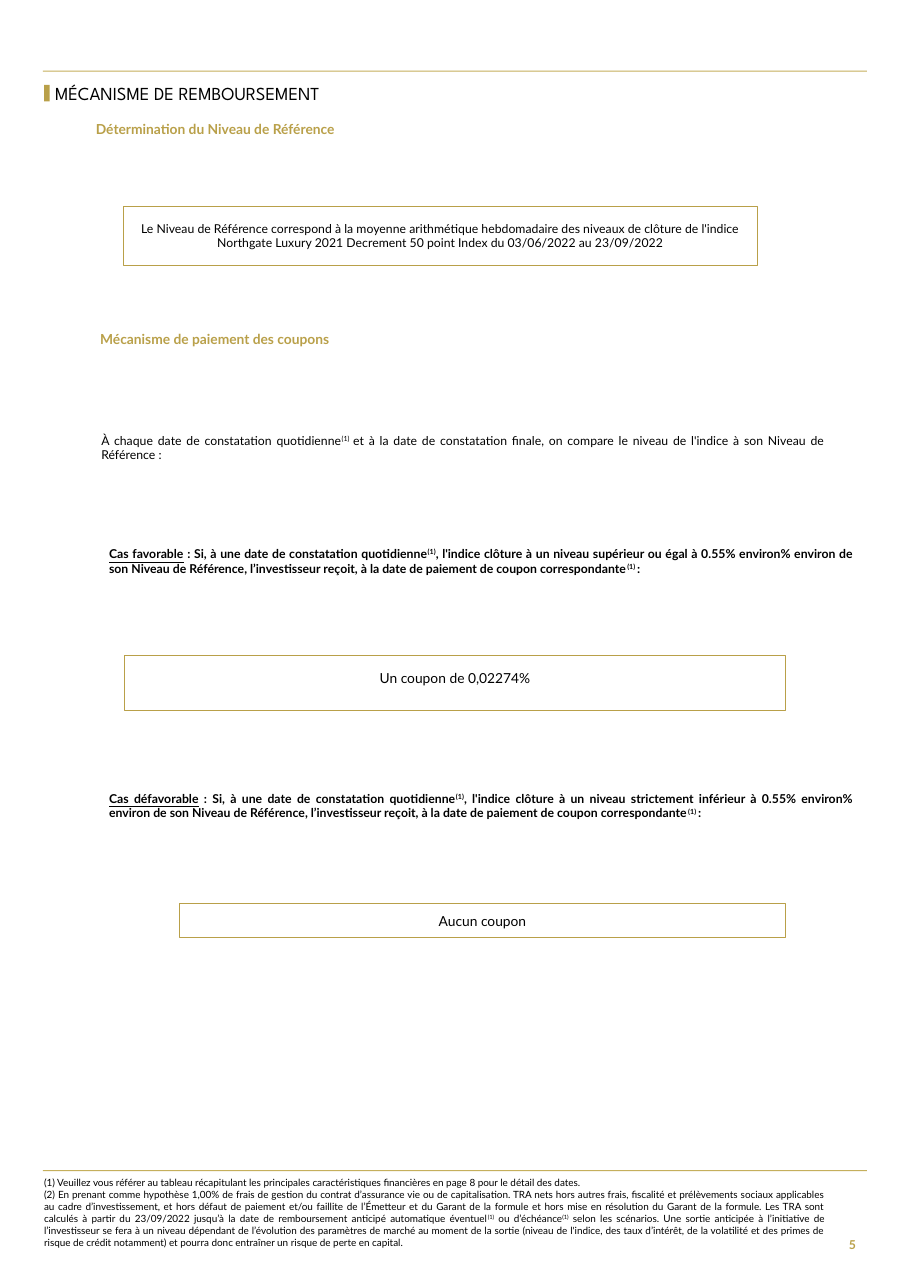
from dataclasses import dataclass

from lxml import etree
from pptx import Presentation
from pptx.dml.color import RGBColor
from pptx.enum.shapes import MSO_SHAPE
from pptx.enum.text import MSO_ANCHOR, MSO_AUTO_SIZE, PP_ALIGN
from pptx.oxml.ns import qn
from pptx.shapes.base import BaseShape
from pptx.util import Pt

PX = 9144
RECT = MSO_SHAPE.RECTANGLE
TOP, MIDDLE = MSO_ANCHOR.TOP, MSO_ANCHOR.MIDDLE
FIXED = MSO_AUTO_SIZE.NONE
LEFT, CENTER = PP_ALIGN.LEFT, PP_ALIGN.CENTER
RIGHT, JUSTIFY = PP_ALIGN.RIGHT, PP_ALIGN.JUSTIFY

HUES = {"gold": "B9A049", "rule": "C5AF5C", "ink": "000000", "paper": "FFFFFF"}


@dataclass(frozen=True)
class Area:
    left: int
    top: int
    width: int
    height: int


@dataclass(frozen=True)
class Style:
    size: float
    align: PP_ALIGN = JUSTIFY
    hue: str = "ink"
    bold: bool = False
    face: str = "Lato"
    anchor: MSO_ANCHOR = TOP
    spacing: float = 1.0


@dataclass(frozen=True)
class Block:
    area: Area
    text: str
    style: Style


@dataclass(frozen=True)
class Frame:
    block: Block
    line: float
    fill: str = ""
    base: int = 8


HEAD = Style(12, LEFT, face="League Spartan", anchor=MIDDLE, spacing=0.9)
TOPIC = Style(9, LEFT, "gold", True)
PLAIN = Style(8)
CASE = Style(8, bold=True)
NOTE = Style(6.5)
PAGE = Style(8, RIGHT, "gold", True, anchor=MIDDLE)
INDEX = Style(8, CENTER, anchor=MIDDLE)
COUPON = Style(9, CENTER, anchor=MIDDLE, spacing=0.9)
NONE = Style(9, CENTER, anchor=MIDDLE)

BARS = [
    (Area(39, 64, 748, 1), "rule"),
    (Area(39, 1062, 748, 1), "rule"),
    (Area(40, 77, 5, 15), "gold"),
]

TITLE = Block(Area(50, 73, 421, 25), "MÉCANISME DE REMBOURSEMENT", HEAD)

DATES = (
    "(1) Veuillez vous référer au tableau récapitulant les principales caractéristiques "
    "financières en page 8 pour le détail des dates."
)
YIELD = [
    "(2) En prenant comme hypothèse 1,00% de frais de gestion du contrat d’assurance vie "
    "ou de capitalisation. TRA nets hors autres frais, fiscalité et prélèvements sociaux "
    "applicables au cadre d’investissement, et hors défaut de paiement et/ou faillite de "
    "l’Émetteur et du Garant de la formule et hors mise en résolution du Garant de la "
    "formule. Les TRA sont calculés à partir du 23/09/2022 jusqu’à la date de "
    "remboursement anticipé automatique éventuel",
    "^(1)",
    " ou d’échéance",
    "^(1)",
    " selon les scénarios. Une sortie anticipée à l’initiative de l’investisseur se fera "
    "à un niveau dépendant de l’évolution des paramètres de marché au moment de la sortie "
    "(niveau de l'indice, des taux d’intérêt, de la volatilité et des primes de risque "
    "de crédit notamment) et pourra donc entraîner un risque de perte en capital.",
]
NOTES = Block(Area(40, 1068, 709, 66), "\n".join([DATES, "|".join(YIELD)]), NOTE)


def case(top: int, name: str, level: str) -> Block:
    text = (
        f"_Cas {name}| : Si, à une date de constatation quotidienne|^(1)|, l'indice "
        f"clôture à un niveau {level} à 0.55% environ% environ de son Niveau de "
        "Référence, l’investisseur reçoit, à la date de paiement de coupon "
        "correspondante|^(1) |:"
    )
    return Block(Area(99, top, 676, 27), text, CASE)


BLOCKS = [
    Block(Area(748, 1109, 29, 42), "5", PAGE),
    Block(Area(87, 110, 298, 18), "Détermination du Niveau de Référence", TOPIC),
    Block(Area(91, 300, 657, 17), "Mécanisme de paiement des coupons", TOPIC),
    Block(
        Area(92, 393, 657, 27),
        "À chaque date de constatation quotidienne|^(1) |et à la date de constatation "
        "finale, on compare le niveau de l'indice à son Niveau de Référence :",
        PLAIN,
    ),
    case(496, "favorable", "supérieur ou égal"),
    case(718, "défavorable", "strictement inférieur"),
]

FRAMES = [
    Frame(
        Block(
            Area(112, 187, 576, 54),
            "Le Niveau de Référence correspond à la moyenne arithmétique hebdomadaire "
            "des niveaux de clôture de l'indice Northgate Luxury 2021 Decrement 50 point "
            "Index du 03/06/2022 au 23/09/2022",
            INDEX,
        ),
        0.5,
    ),
    Frame(Block(Area(113, 595, 600, 50), "Un coupon de 0,02274%", COUPON), 0.75, "paper", 16),
    Frame(Block(Area(163, 820, 550, 31), "Aucun coupon", NONE), 0.75, "paper"),
]


def color(hue: str) -> RGBColor:
    return RGBColor.from_string(HUES[hue])


def apply(item: object, values: dict[str, object]) -> None:
    for key, value in values.items():
        setattr(item, key, value)


def edges(area: Area) -> list[int]:
    return [n * PX for n in (area.left, area.top, area.width, area.height)]


def write(shape: BaseShape, block: Block, side: int = 0, head: int = 0, base: int = 0) -> None:
    style = block.style
    frame = shape.text_frame
    apply(frame, {
        "word_wrap": True,
        "auto_size": FIXED,
        "vertical_anchor": style.anchor,
        "margin_left": side * PX,
        "margin_right": side * PX,
        "margin_top": head * PX,
        "margin_bottom": base * PX,
    })
    for row, line in enumerate(block.text.split("\n")):
        para = frame.add_paragraph() if row else frame.paragraphs[0]
        props = para._p.get_or_add_pPr()
        props.set("marL", "0")
        props.set("indent", "0")
        etree.SubElement(props, qn("a:buNone"))
        apply(para, {
            "alignment": style.align,
            "line_spacing": style.spacing,
            "space_before": Pt(0),
        })
        for part in line.split("|"):
            run = para.add_run()
            run.text = part.lstrip("^_")
            apply(run.font, {
                "name": style.face,
                "size": Pt(style.size),
                "bold": style.bold,
                "underline": part.startswith("_"),
            })
            run.font.color.rgb = color(style.hue)
            if part.startswith("^"):
                run._r.get_or_add_rPr().set("baseline", "30000")


def main() -> None:
    deck = Presentation()
    apply(deck, {"slide_width": 827 * PX, "slide_height": 1169 * PX})
    slide = deck.slides.add_slide(deck.slide_layouts[1])
    shapes = slide.shapes

    for holder, block in zip(slide.placeholders, (TITLE, NOTES)):
        apply(holder, dict(zip(("left", "top", "width", "height"), edges(block.area))))
        write(holder, block)

    for area, hue in BARS:
        bar = shapes.add_shape(RECT, *edges(area))
        bar.shadow.inherit = False
        bar.fill.solid()
        bar.fill.fore_color.rgb = color(hue)
        bar.line.fill.background()

    for block in BLOCKS:
        write(shapes.add_textbox(*edges(block.area)), block)

    for frame in FRAMES:
        box = shapes.add_shape(RECT, *edges(frame.block.area))
        box.shadow.inherit = False
        if frame.fill:
            box.fill.solid()
            box.fill.fore_color.rgb = color(frame.fill)
        else:
            box.fill.background()
        box.line.color.rgb = color("gold")
        box.line.width = Pt(frame.line)
        write(box, frame.block, 12, 8, frame.base)

    deck.save("out.pptx")


if __name__ == "__main__":
    main()
